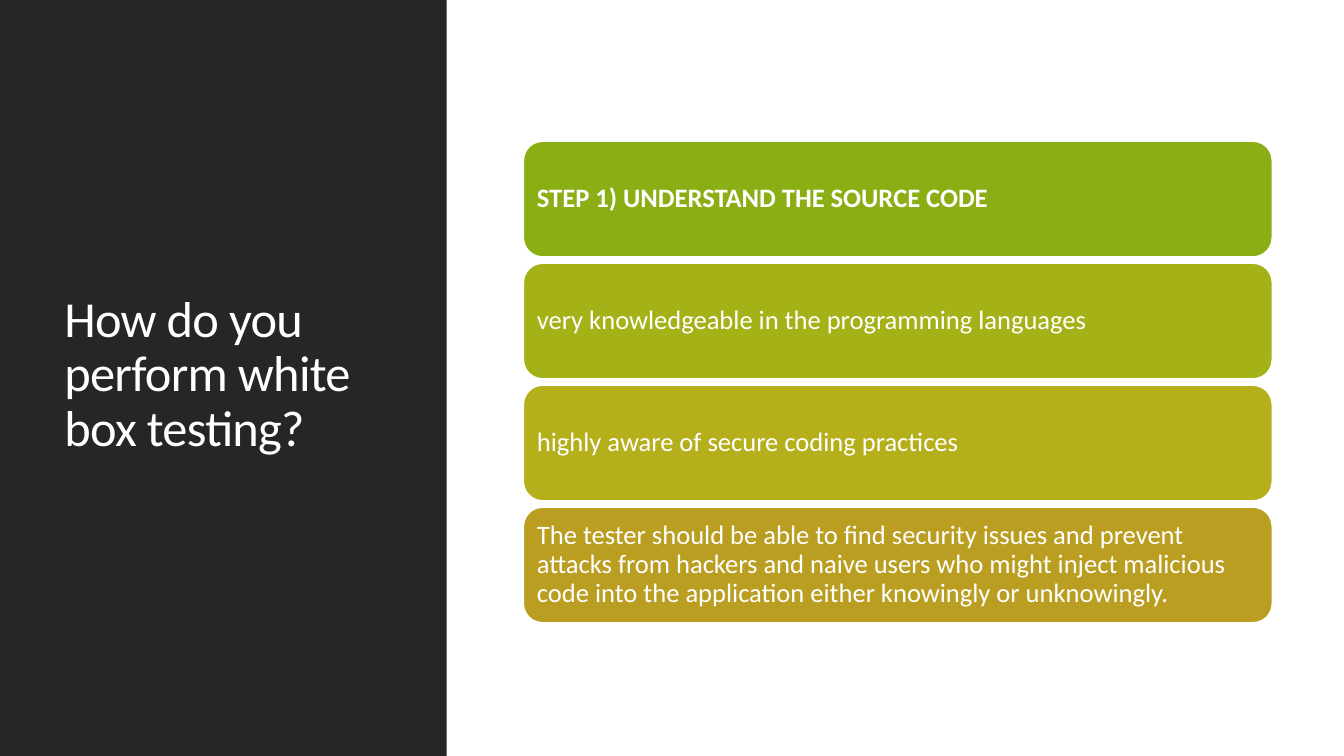
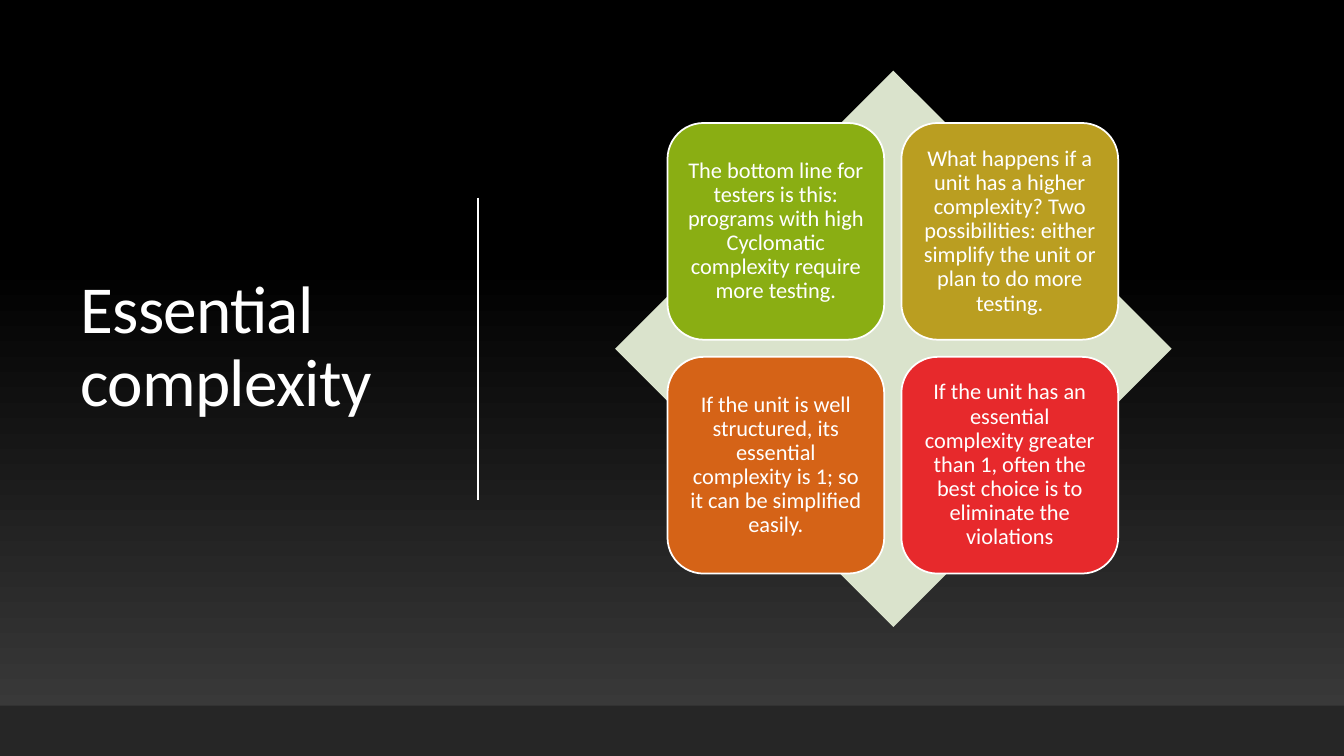
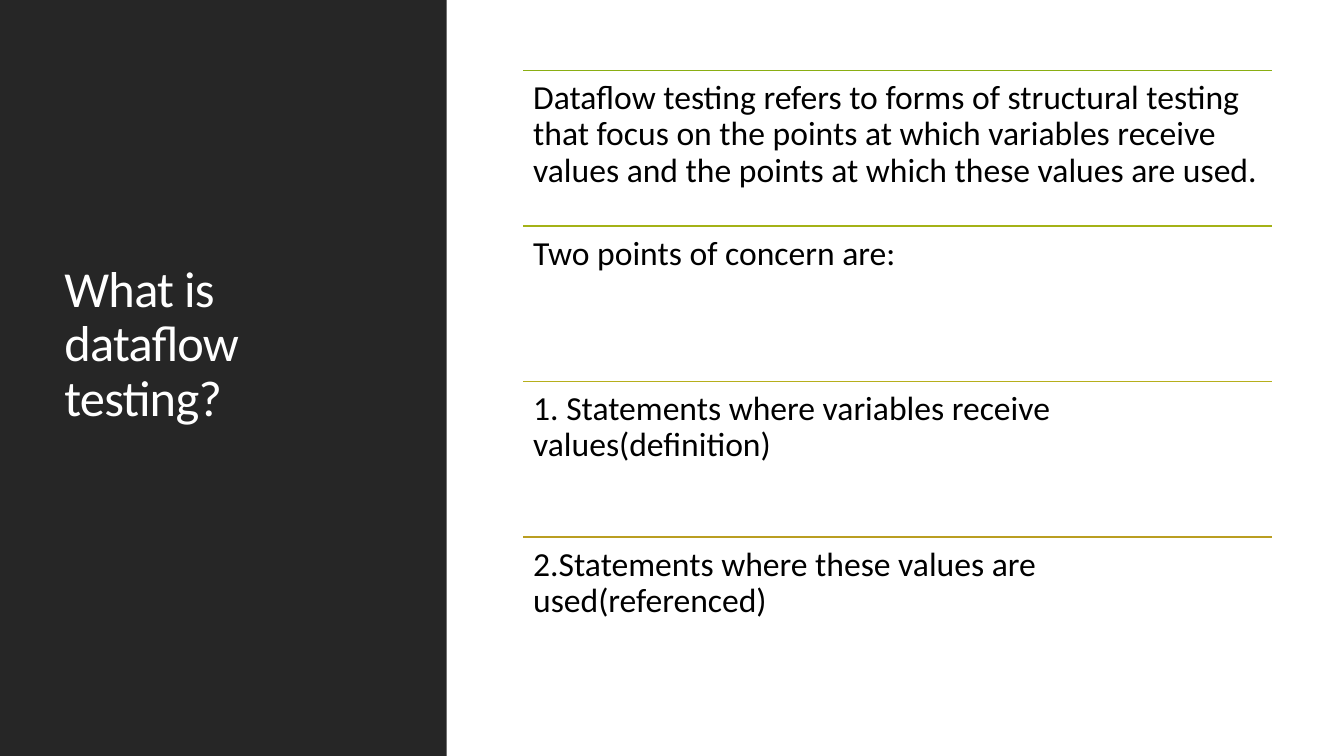
from lxml.etree import SubElement
from pptx import Presentation
from pptx.dml.color import RGBColor
from pptx.enum.shapes import MSO_CONNECTOR as Connector, MSO_SHAPE as Shape
from pptx.enum.text import MSO_ANCHOR as Anchor, PP_ALIGN as Align
from pptx.oxml.ns import qn
from pptx.util import Inches, Pt

WHITE = RGBColor(0xFF, 0xFF, 0xFF)
BLACK = RGBColor(0x00, 0x00, 0x00)
CHARCOAL = RGBColor(0x26, 0x26, 0x26)
GREY = RGBColor(0x3F, 0x3F, 0x3F)
PALE_GREEN = RGBColor(0xDA, 0xE3, 0xCC)
GREEN = RGBColor(0x8A, 0xAE, 0x13)
LIME = RGBColor(0xA4, 0xB2, 0x17)
OLIVE = RGBColor(0xB6, 0xAF, 0x1C)
GOLD = RGBColor(0xBA, 0x9E, 0x21)
ORANGE = RGBColor(0xD5, 0x63, 0x17)
RED = RGBColor(0xE7, 0x29, 0x2C)
SEQUENCE = (GREEN, LIME, OLIVE, GOLD)

WIDTH, HEIGHT = 13.33, 7.5
CONTENT_LEFT, CONTENT_WIDTH = 5.19, 7.43

STEPS = (
    "STEP 1) UNDERSTAND THE SOURCE CODE",
    "very knowledgeable in the programming languages",
    "highly aware of secure coding practices",
    "The tester should be able to find security issues and prevent attacks from "
    "hackers and naive users who might inject malicious code into the application "
    "either knowingly or unknowingly.",
)
COMPLEXITY_POINTS = (
    ("The bottom line for testers is this: programs with high Cyclomatic complexity "
     "require more testing.", GREEN),
    ("What happens if a unit has a higher complexity? Two possibilities: either "
     "simplify the unit or plan to do more testing.", GOLD),
    ("If the unit is well structured, its essential complexity is 1; so it can be "
     "simplified easily.", ORANGE),
    ("If the unit has an essential complexity greater than 1, often the best choice "
     "is to eliminate the violations", RED),
)
DATAFLOW_POINTS = (
    "Dataflow testing refers to forms of structural testing that focus on the points "
    "at which variables receive values and the points at which these values are used.",
    "Two points of concern are:",
    "1. Statements where variables receive values(definition)",
    "2.Statements where these values are used(referenced)",
)


def write(frame, text, size, color=WHITE, bold=False, align=Align.LEFT,
          anchor=Anchor.MIDDLE, inset=None, spacing=None):
    frame.word_wrap = True
    frame.vertical_anchor = anchor
    if inset is not None:
        frame.margin_left = frame.margin_right = Inches(inset)
        frame.margin_top = frame.margin_bottom = Inches(inset)
    paragraph = frame.paragraphs[0]
    paragraph.alignment = align
    paragraph.line_spacing = 0.9
    run = paragraph.add_run()
    run.text = text
    run.font.name = "Calibri"
    run.font.size = Pt(size)
    run.font.bold = bold
    run.font.color.rgb = color
    if spacing is not None:
        run._r.get_or_add_rPr().set("spc", str(round(spacing * 100)))


class Deck:
    """Holds the shared style and the slide being built."""

    def __init__(self):
        self.presentation = Presentation()
        self.presentation.slide_width = Inches(WIDTH)
        self.presentation.slide_height = Inches(HEIGHT)
        self.slide = None

    def new_slide(self):
        self.slide = self.presentation.slides.add_slide(self.presentation.slide_layouts[6])
        return self.slide.background.fill

    def sidebar_slide(self, title, title_height=6.31):
        background = self.new_slide()
        background.solid()
        background.fore_color.rgb = WHITE
        self.block(Shape.RECTANGLE, 0, 0, 4.43, HEIGHT, CHARCOAL)
        self.title(title, 0.54, 0.57, 3.37, title_height, 36)

    def gradient_slide(self, title):
        background = self.new_slide()
        background.gradient()
        background.gradient_angle = 90
        for stop, (position, color) in zip(background.gradient_stops, ((0, GREY), (0.65, BLACK))):
            stop.position = position
            stop.color.rgb = color
        self.title(title, 0.7, 0.69, 3.69, 5.53, 48)
        self.rule(4.74, 1.96, 4.74, 4.96, WHITE, 1)
        self.block(Shape.RECTANGLE, 0, 7, WIDTH, 0.5, CHARCOAL)

    def title(self, text, left, top, width, height, size):
        self.text(text, left, top, width, height, size=size, spacing=-0.5)

    def text(self, text, left, top, width, height, **style):
        box = self.slide.shapes.add_textbox(*map(Inches, (left, top, width, height)))
        write(box.text_frame, text, **style)

    def block(self, kind, left, top, width, height, fill, outlined=False):
        block = self.slide.shapes.add_shape(kind, *map(Inches, (left, top, width, height)))
        block.shadow.inherit = False
        block.fill.solid()
        block.fill.fore_color.rgb = fill
        if outlined:
            block.line.color.rgb = WHITE
            block.line.width = Pt(1.25)
        else:
            block.line.fill.background()
        return block

    def card(self, text, left, top, width, height, fill, **style):
        card = self.block(Shape.ROUNDED_RECTANGLE, left, top, width, height, fill, outlined=True)
        write(card.text_frame, text, **style)

    def rule(self, x1, y1, x2, y2, color, weight):
        rule = self.slide.shapes.add_connector(
            Connector.STRAIGHT, *map(Inches, (x1, y1, x2, y2)))
        rule.line.color.rgb = color
        rule.line.width = Pt(weight)
        SubElement(rule._element.spPr, qn("a:effectLst"))


def build_steps(deck):
    deck.sidebar_slide("How do you perform white box testing?")
    for row, (step, color) in enumerate(zip(STEPS, SEQUENCE)):
        deck.card(step, CONTENT_LEFT, 1.4 + row * 1.21, CONTENT_WIDTH, 1.15, color,
                  size=19, bold=row == 0, inset=0.08)


def build_complexity(deck):
    deck.gradient_slide("Essential complexity")
    deck.block(Shape.DIAMOND, 6.1, 0.7, 5.52, 5.52, PALE_GREEN)
    side, pitch = 2.15, 2.32
    for index, (point, color) in enumerate(COMPLEXITY_POINTS):
        row, column = divmod(index, 2)
        deck.card(point, 6.62 + column * pitch, 1.22 + row * pitch, side, side, color,
                  size=16, align=Align.CENTER, inset=0.07)


def build_dataflow(deck):
    deck.sidebar_slide("What is dataflow testing?", title_height=5.71)
    top, bottom = 0.7, 6.87
    row_height = (bottom - top) / len(DATAFLOW_POINTS)
    for row, (point, color) in enumerate(zip(DATAFLOW_POINTS, SEQUENCE)):
        y = top + row * row_height
        deck.rule(CONTENT_LEFT, y, CONTENT_LEFT + CONTENT_WIDTH, y, color, 1.25)
        deck.text(point, CONTENT_LEFT, y, CONTENT_WIDTH, row_height, size=24,
                  color=BLACK, anchor=Anchor.TOP, inset=0.1)


def main():
    deck = Deck()
    build_steps(deck)
    build_complexity(deck)
    build_dataflow(deck)
    deck.presentation.save("out.pptx")


if __name__ == "__main__":
    main()
